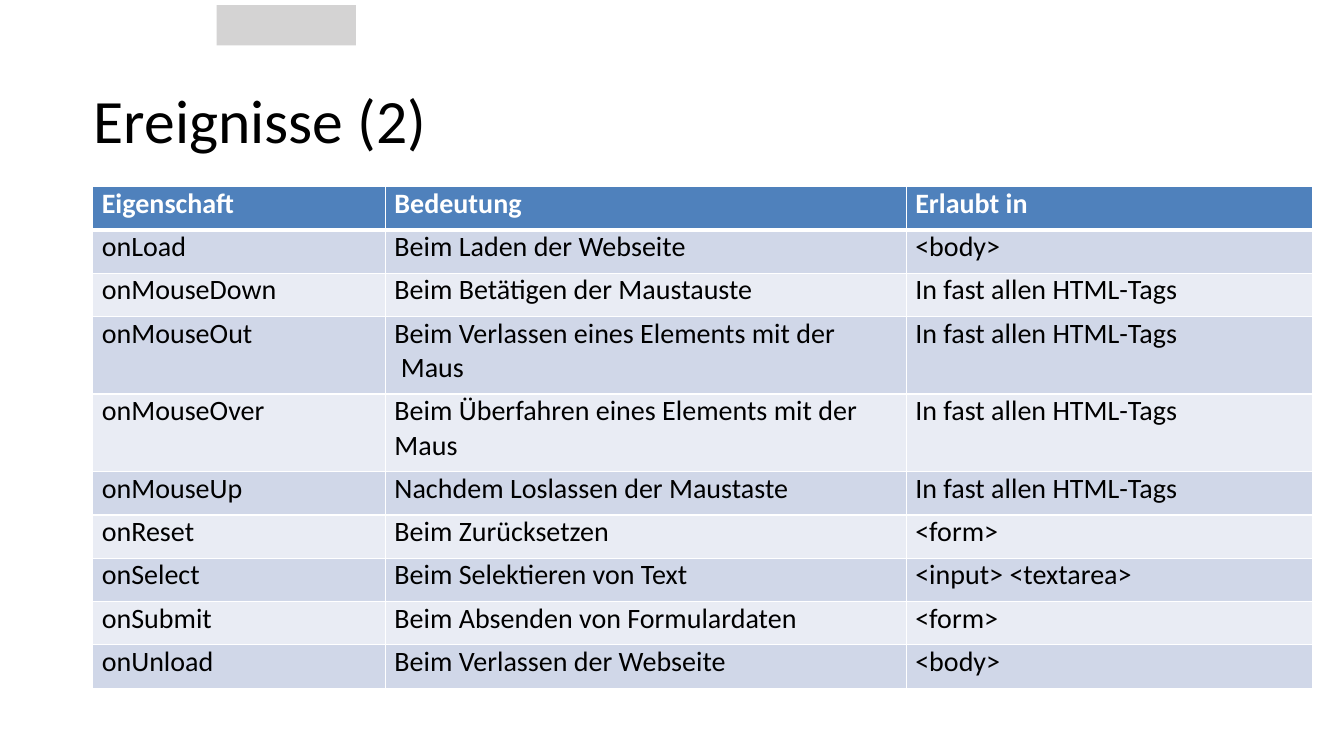
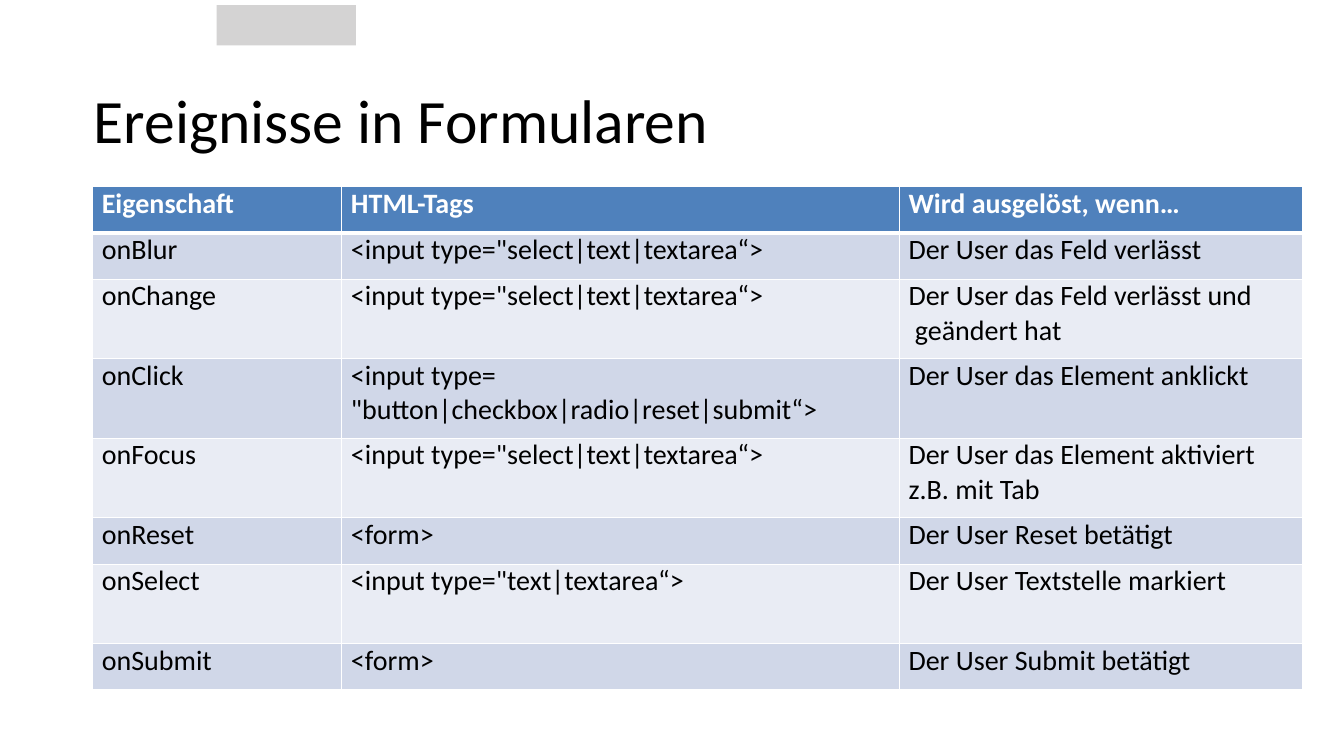
from pptx import Presentation
from pptx.dml.color import RGBColor
from pptx.enum.shapes import MSO_SHAPE
from pptx.enum.text import MSO_ANCHOR
from pptx.oxml import parse_xml
from pptx.oxml.ns import nsdecls
from pptx.util import Inches, Pt

# Content: "cols" are parts of a thousand, "tall" lists the two-line rows;
# "wide", "low" and "high" are percentages of the slide's size
TAGS = "In fast allen HTML-Tags"
FIELDS = '<input type="select|text|textarea“>'
PAGES = [
    {
        "title": "Ereignisse (2)",
        "wide": 90.75, "low": 5.73, "high": 10.27,
        "cols": (240, 427, 333), "tall": (3, 4),
        "rows": [
            ("Eigenschaft", "Bedeutung", "Erlaubt in"),
            ("onLoad", "Beim Laden der Webseite", "<body>"),
            ("onMouseDown", "Beim Betätigen der Maustauste", TAGS),
            ("onMouseOut", "Beim Verlassen eines Elements mit der\v Maus", TAGS),
            ("onMouseOver", "Beim Überfahren eines Elements mit der\nMaus", TAGS),
            ("onMouseUp", "Nachdem Loslassen der Maustaste", TAGS),
            ("onReset", "Beim Zurücksetzen", "<form>"),
            ("onSelect", "Beim Selektieren von Text", "<input> <textarea>"),
            ("onSubmit", "Beim Absenden von Formulardaten", "<form>"),
            ("onUnload", "Beim Verlassen der Webseite", "<body>"),
        ],
    },
    {
        "title": "Ereignisse in Formularen",
        "wide": 90, "low": 6.13, "high": 10.53,
        "cols": (206, 461, 333), "tall": (2, 3, 4, 6),
        "rows": [
            ("Eigenschaft", "HTML-Tags", "Wird ausgelöst, wenn…"),
            ("onBlur", FIELDS, "Der User das Feld verlässt"),
            ("onChange", FIELDS, "Der User das Feld verlässt und\v geändert hat"),
            ("onClick", '<input type=\n"button|checkbox|radio|reset|submit“>',
             "Der User das Element anklickt"),
            ("onFocus", FIELDS, "Der User das Element aktiviert\nz.B. mit Tab"),
            ("onReset", "<form>", "Der User Reset betätigt"),
            ("onSelect", '<input type="text|textarea“>',
             "Der User Textstelle markiert"),
            ("onSubmit", "<form>", "Der User Submit betätigt"),
        ],
    },
]

# Shared look
WHITE = RGBColor(0xFF, 0xFF, 0xFF)
BLACK = RGBColor(0, 0, 0)
GREY = RGBColor(0xD4, 0xD3, 0xD3)
BLUE = RGBColor(0x4F, 0x81, 0xBC)
BANDS = (RGBColor(0xE9, 0xEC, 0xF4), RGBColor(0xD0, 0xD7, 0xE8))
FACE = "Calibri"
HEAD = {"name": FACE, "size": Pt(44), "bold": False}
BODY = {"name": FACE, "size": Pt(20), "bold": False}
BOLD = {**BODY, "bold": True}
PAD = {"margin_left": Inches(0.09), "margin_top": 0,
       "margin_right": 0, "margin_bottom": 0}
WIDE, HIGH = Inches(13.33), Inches(7.5)
LEFT = 6.9
PLATE = (16.13, 0.67, 10.35, 5.33)
TITLE = (LEFT, 6.67, 86.25, 18)
TOP = 24.67


def place(x, y, w, h):
    """Turn percentages of the slide into lengths."""
    return [int(side * part / 100)
            for side, part in zip((WIDE, HIGH, WIDE, HIGH), (x, y, w, h))]


def apply(item, look):
    for name, value in look.items():
        setattr(item, name, value)


def style(frame, look, color):
    for para in frame.paragraphs:
        apply(para.font, look)
        para.font.color.rgb = color
        for run in para.runs:
            apply(run.font, look)
            run.font.color.rgb = color


def edge(cell, side, width):
    cell._tc.get_or_add_tcPr().append(parse_xml(
        f'<a:ln{side} {nsdecls("a")} w="{Pt(width)}"><a:solidFill>'
        f'<a:srgbClr val="{WHITE}"/></a:solidFill></a:ln{side}>'))


def add_frame(slide, title):
    # Grey plate
    plate = slide.shapes.add_shape(MSO_SHAPE.RECTANGLE, *place(*PLATE))
    plate.shadow.inherit = False
    plate.fill.solid()
    plate.fill.fore_color.rgb = GREY
    plate.line.fill.background()
    # Title
    frame = slide.shapes.add_textbox(*place(*TITLE)).text_frame
    apply(frame, {**PAD, "margin_left": Inches(0.01), "word_wrap": True,
                  "vertical_anchor": MSO_ANCHOR.MIDDLE})
    frame.text = title
    style(frame, HEAD, BLACK)


def add_grid(slide, page):
    rows, cols = page["rows"], page["cols"]
    parts = [page["high" if i in page["tall"] else "low"]
             for i in range(len(rows))]
    box = place(LEFT, TOP, page["wide"], sum(parts))
    grid = slide.shapes.add_table(len(rows), len(cols), *box).table
    for col, part in zip(grid.columns, cols):
        col.width = int(box[2] * part / sum(cols))
    for i, (row, part) in enumerate(zip(rows, parts)):
        grid.rows[i].height = int(HIGH * part / 100)
        for j, text in enumerate(row):
            cell = grid.cell(i, j)
            apply(cell, PAD)
            # Thick rule between head and body
            for side, thick in (("L", False), ("R", False),
                                ("T", i == 1), ("B", i == 0)):
                edge(cell, side, 3 if thick else 1)
            cell.fill.solid()
            cell.fill.fore_color.rgb = BANDS[i % 2] if i else BLUE
            cell.text_frame.text = text
            style(cell.text_frame, BODY if i else BOLD, BLACK if i else WHITE)


def main():
    deck = Presentation()
    deck.slide_width, deck.slide_height = WIDE, HIGH
    for page in PAGES:
        slide = deck.slides.add_slide(deck.slide_layouts[6])
        add_frame(slide, page["title"])
        add_grid(slide, page)
    deck.save("out.pptx")


if __name__ == "__main__":
    main()
